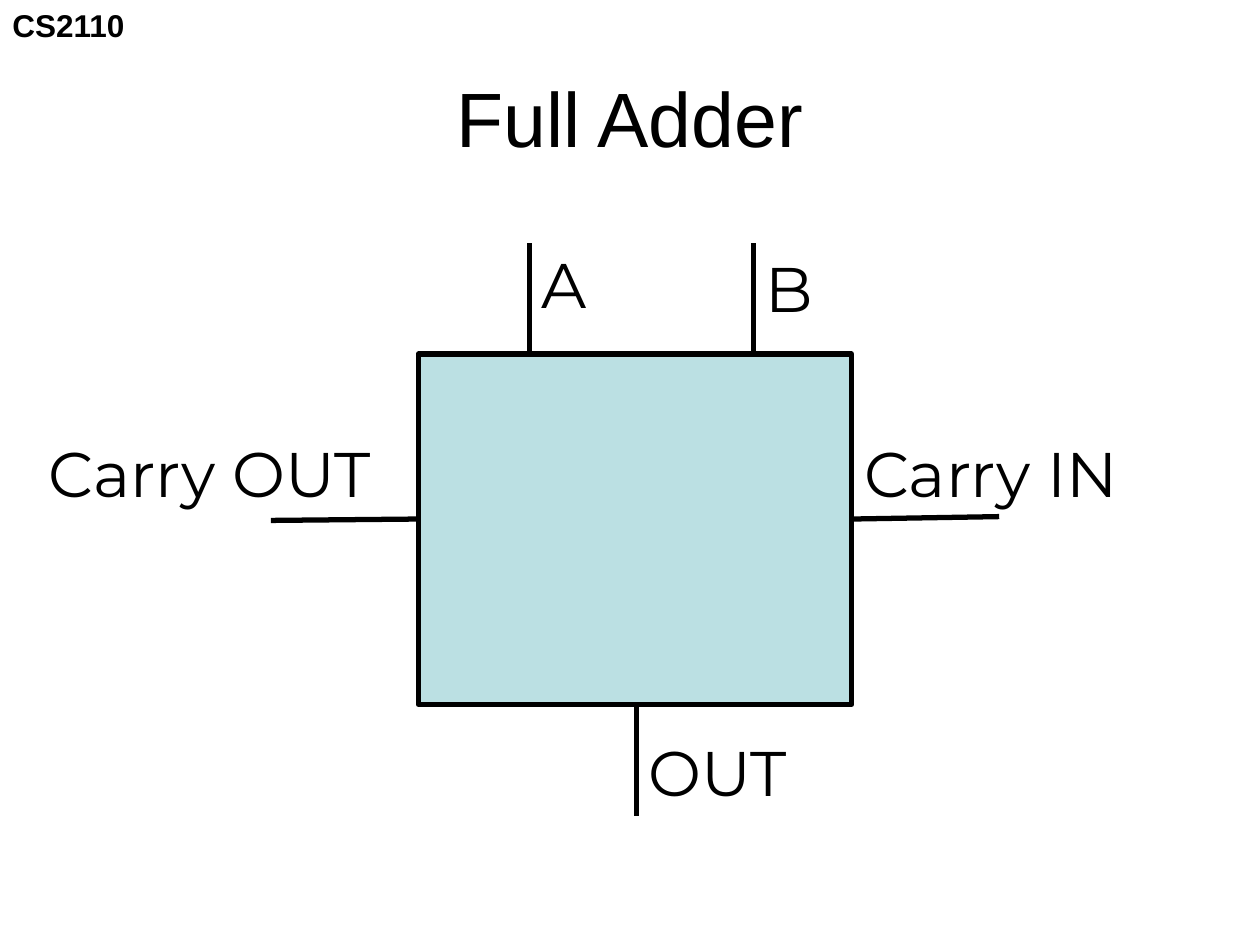
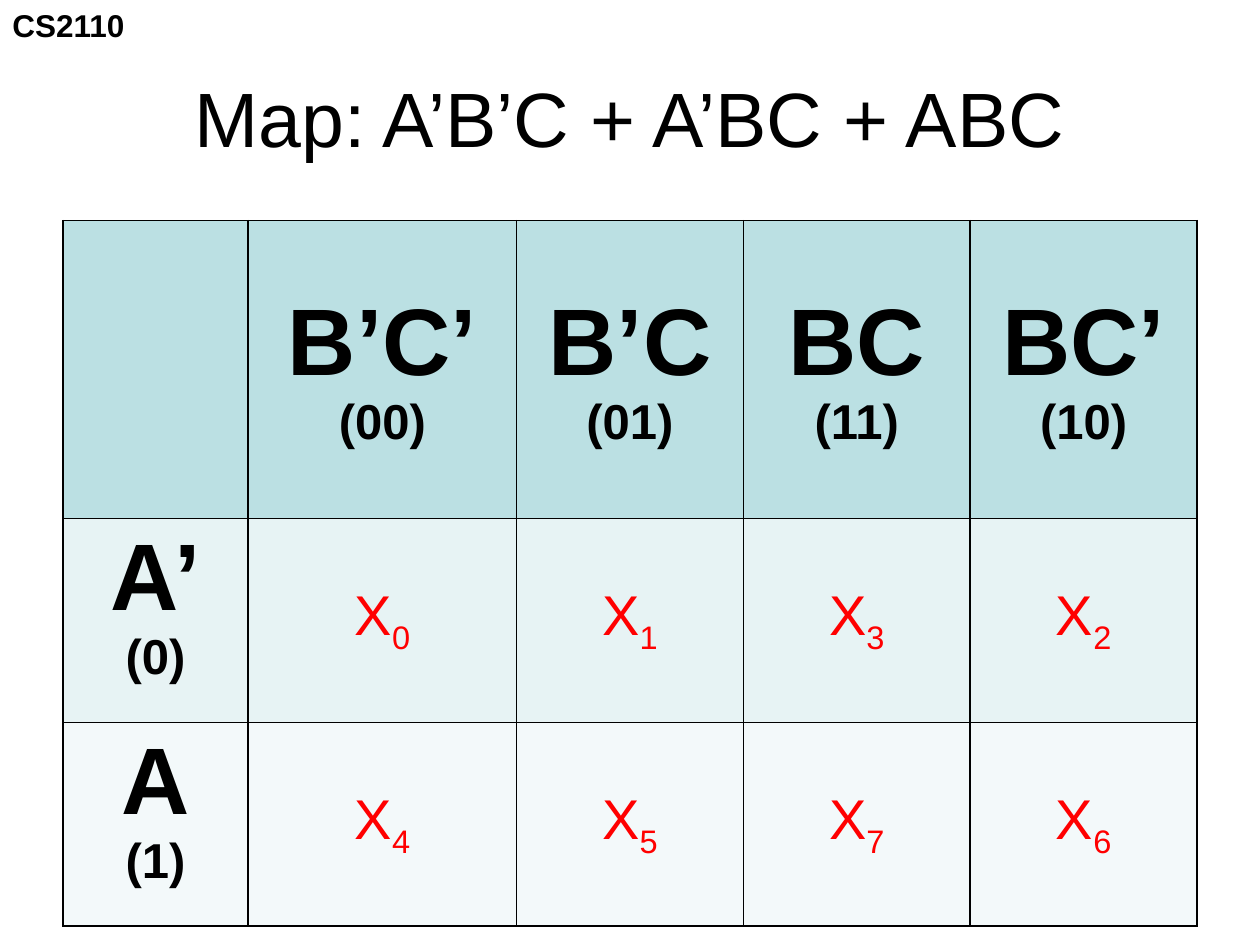
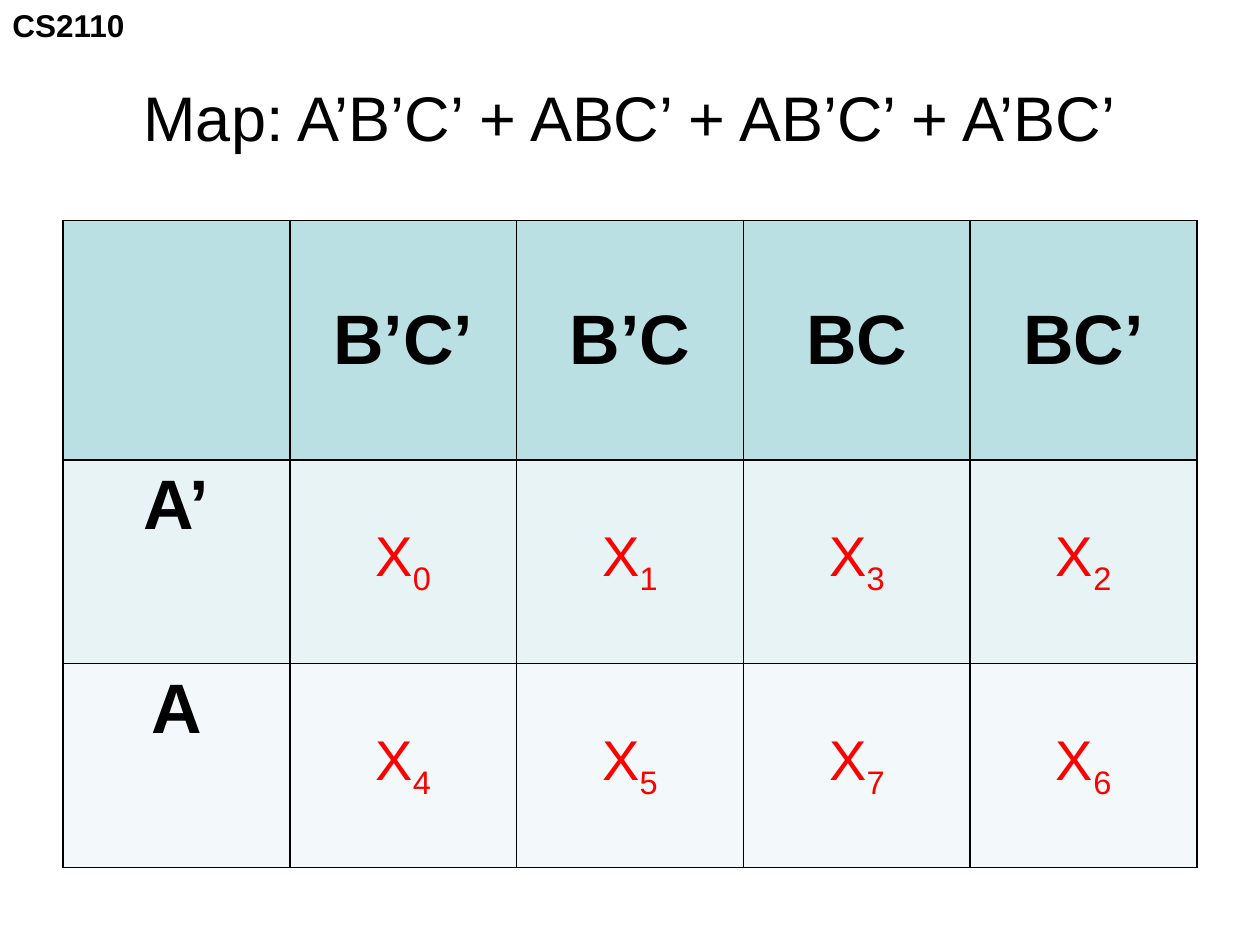
from pptx import Presentation, oxml
from pptx.dml.color import RGBColor
from pptx.enum import shapes, text
from pptx.oxml.ns import nsdecls
from pptx.util import Pt

BLACK, RED = "000000", "FF0000"
HEAD_FILL = "BBE0E3"
ROW_FILLS = [HEAD_FILL, "E7F3F4", "F3F9FA"]
SANS, LABEL_FONT = "Arial", "Montserrat"
COURSE = "CS2110"
TITLE_AREA = (36, 21.6, 648, 90)
TABLE_LEFT, TABLE_TOP = 36, 126

# Adder block: left, top, width, height
BLOCK = (239, 202.3, 247.7, 200.2)
RIGHT, BOTTOM = BLOCK[0] + BLOCK[2], BLOCK[1] + BLOCK[3]
WIRE_Y = 296.6
# Wires: from x, from y, to x, to y
WIRES = [
    (302.4, 139, 302.4, BLOCK[1]),
    (430.6, 139, 430.6, BLOCK[1]),
    (363.6, BOTTOM, 363.6, 466.5),
    (RIGHT, WIRE_Y, 571, 295.2),
    (154.8, 297.4, BLOCK[0], WIRE_Y),
]
# Labels: text, left, top, width
LABELS = [
    ("A", 302.4, 136.8, 42.5),
    ("B", 430.6, 139, 42.5),
    ("OUT", 363.6, 415.4, 100.8),
    ("Carry IN", RIGHT, 244.8, 176.4),
    ("Carry OUT", 20.9, 244.8, 218.2),
]

MINTERMS = [["0", "1", "3", "2"], ["4", "5", "7", "6"]]
MAPS = [
    {
        "title": "Map: A’B’C + A’BC + ABC", "title_size": 44, "head_size": 54,
        "columns": [("B’C’", "(00)"), ("B’C", "(01)"), ("BC", "(11)"), ("BC’", "(10)")],
        "rows": [("A’", "(0)"), ("A", "(1)")],
        "widths": [105.84, 153.36, 129.6, 129.6, 129.6],
        "heights": [170.4, 116.4, 116.4],
    },
    {
        "title": "Map: A’B’C’ + ABC’ + AB’C’ + A’BC’", "title_size": 36, "head_size": 40,
        "columns": [("B’C’",), ("B’C",), ("BC",), ("BC’",)],
        "rows": [("A’",), ("A",)],
        "widths": [129.6] * 5,
        "heights": [136.8, 116.4, 116.4],
    },
]
CODE_SIZE, MINTERM_SIZE = 28, 32


def color(value):
    return RGBColor.from_string(value)


def points(*lengths):
    return [Pt(length) for length in lengths]


def add_text(para, words, size=18, font=SANS, ink=BLACK, bold=False, align=None, subscript=False):
    span = para.add_run()
    span.text = words
    span.font.size, span.font.name, span.font.bold = Pt(size), font, bold
    span.font.color.rgb = color(ink)
    if align is not None:
        para.alignment = align
    if subscript:
        span._r.get_or_add_rPr().set("baseline", "-25000")


def add_label(page, words, left, top, width, height, **style):
    box = page.shapes.add_textbox(*points(left, top, width, height))
    box.text_frame.word_wrap = False
    box.text_frame.auto_size = text.MSO_AUTO_SIZE.SHAPE_TO_FIT_TEXT
    add_text(box.text_frame.paragraphs[0], words, **style)


def add_page(deck, title, size):
    """Add a slide with the course label and its title."""
    page = deck.slides.add_slide(deck.slide_layouts.get_by_name("Title Only"))
    add_label(page, COURSE, 0, 0, 79.2, 28.8, bold=True)
    heading = page.shapes.title
    heading.left, heading.top, heading.width, heading.height = points(*TITLE_AREA)
    frame = heading.text_frame
    frame.auto_size = text.MSO_AUTO_SIZE.NONE
    frame.vertical_anchor = text.MSO_ANCHOR.MIDDLE
    add_text(frame.paragraphs[0], title, size=size, align=text.PP_ALIGN.CENTER)
    return page


def add_wire(page, ends):
    wire = page.shapes.add_connector(shapes.MSO_CONNECTOR.STRAIGHT, *points(*ends))
    wire.line.color.rgb, wire.line.width = color(BLACK), Pt(3)
    wire._element.spPr.append(oxml.parse_xml(f"<a:effectLst {nsdecls('a')}/>"))


def add_adder(page):
    block = page.shapes.add_shape(shapes.MSO_SHAPE.RECTANGLE, *points(*BLOCK))
    block.shadow.inherit = False
    block.fill.solid()
    block.fill.fore_color.rgb = color(HEAD_FILL)
    block.line.color.rgb, block.line.width = color(BLACK), Pt(3)
    for ends in WIRES:
        add_wire(page, ends)
    for words, left, top, width in LABELS:
        add_label(page, words, left, top, width, 50.4, size=36, font=LABEL_FONT)


def format_cell(cell, fill):
    cell.fill.solid()
    cell.fill.fore_color.rgb = color(fill)
    properties = cell._tc.get_or_add_tcPr()
    for index, side in enumerate("LRTB"):
        properties.insert(index, oxml.parse_xml(
            f'<a:ln{side} {nsdecls("a")} w="{Pt(1)}"><a:solidFill>'
            f'<a:srgbClr val="{BLACK}"/></a:solidFill></a:ln{side}>'))


def write_heading(cell, lines, size):
    """Write a variable name and, below it, its binary code if there is one."""
    frame = cell.text_frame
    for index, words in enumerate(lines):
        para = frame.add_paragraph() if index else frame.paragraphs[0]
        add_text(para, words, size=CODE_SIZE if index else size, bold=True,
                 align=text.PP_ALIGN.CENTER)


def write_minterm(cell, number):
    para = cell.text_frame.paragraphs[0]
    for words, subscript in (("X", False), (number, True)):
        add_text(para, words, size=MINTERM_SIZE, ink=RED, subscript=subscript,
                 align=text.PP_ALIGN.CENTER)


def add_map(page, content):
    widths, heights = content["widths"], content["heights"]
    frame = page.shapes.add_table(len(heights), len(widths), *points(
        TABLE_LEFT, TABLE_TOP, sum(widths), sum(heights)))
    table = frame.table
    for column, width in zip(table.columns, widths):
        column.width = Pt(width)
    for row, height in zip(table.rows, heights):
        row.height = Pt(height)

    for r, fill in enumerate(ROW_FILLS):
        for c in range(len(widths)):
            cell = table.cell(r, c)
            format_cell(cell, fill)
            if c:
                cell.vertical_anchor = text.MSO_ANCHOR.MIDDLE
            if r and c:
                write_minterm(cell, MINTERMS[r - 1][c - 1])
            elif r or c:
                lines = content["rows"][r - 1] if r else content["columns"][c - 1]
                write_heading(cell, lines, content["head_size"])


def main():
    deck = Presentation()
    deck.slide_width, deck.slide_height = points(720, 540)
    add_adder(add_page(deck, "Full Adder", 44))
    for content in MAPS:
        add_map(add_page(deck, content["title"], content["title_size"]), content)
    deck.save("out.pptx")


if __name__ == "__main__":
    main()
